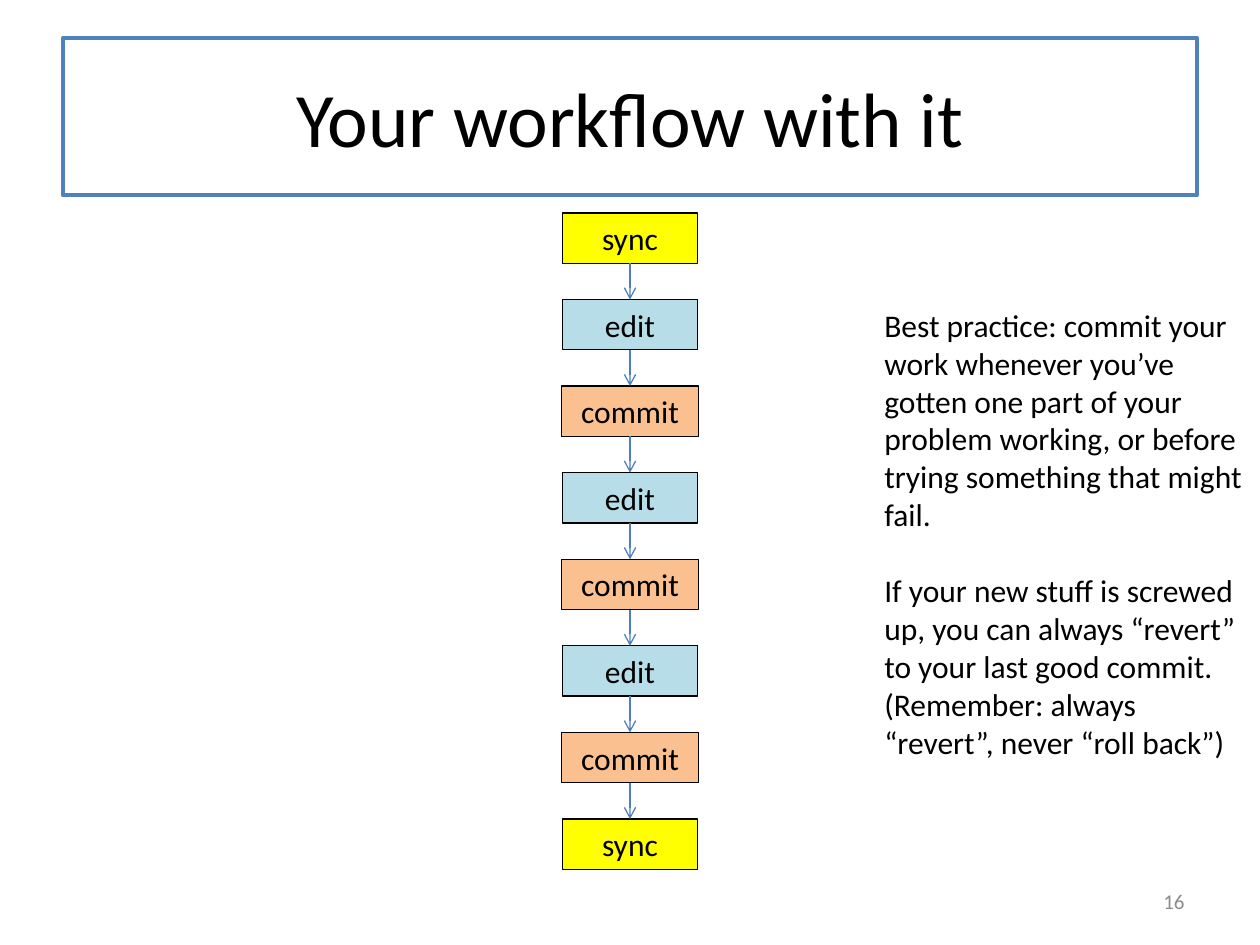
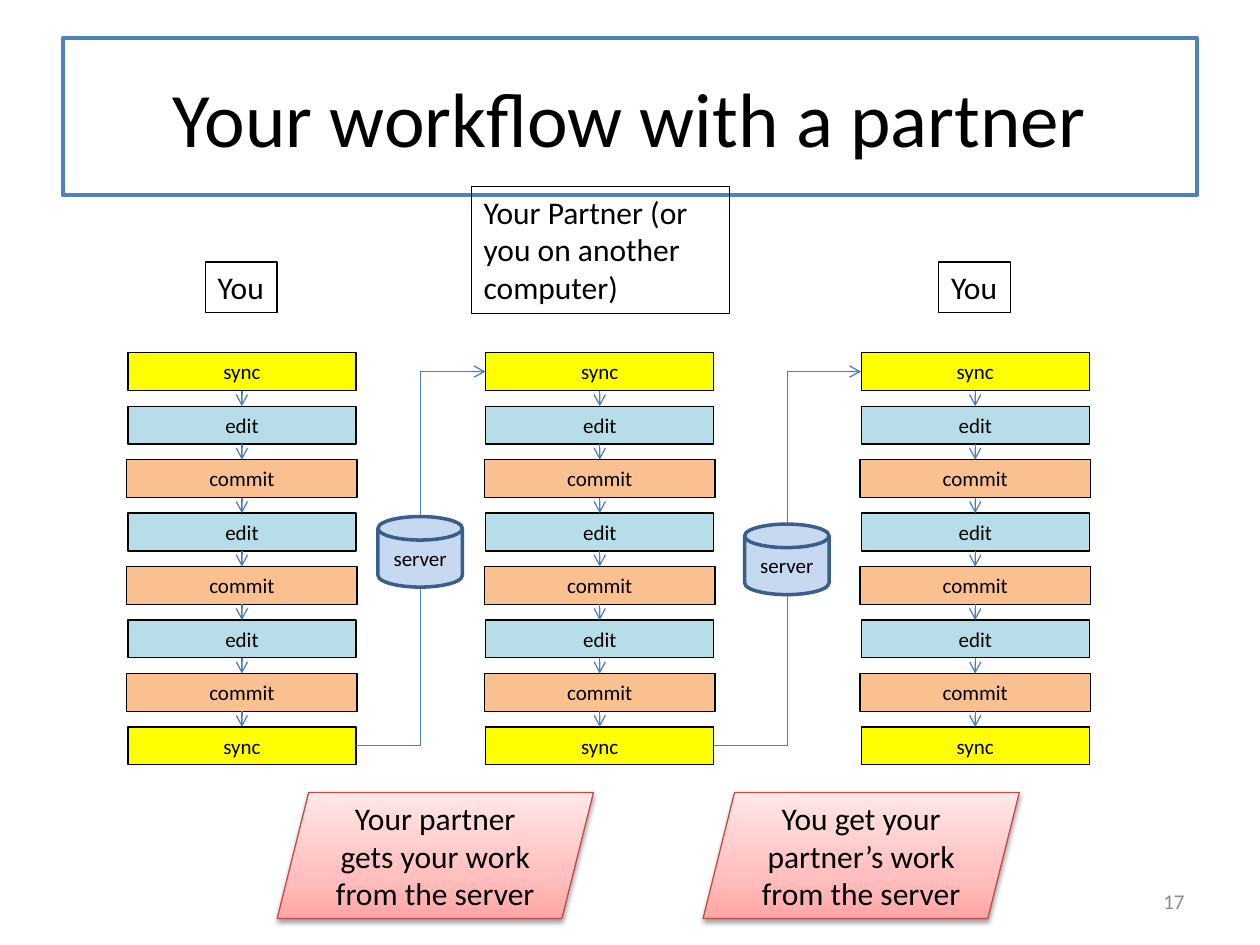
from pptx import Presentation
from pptx.dml.color import RGBColor
from pptx.enum.shapes import MSO_CONNECTOR, MSO_SHAPE
from pptx.enum.text import MSO_ANCHOR, MSO_AUTO_SIZE, PP_ALIGN
from pptx.oxml import parse_xml
from pptx.oxml.ns import nsdecls, qn
from pptx.util import Inches, Pt
from lxml.etree import SubElement

FONT = "Calibri"
BLACK = "000000"
FRAME = "4F81BD"
ARROW = "4B7EBC"
GRAY = "8C8C8C"
DISK = ("C6D9F1", "3A5F8C")
ROSE = "BF4C48"
BLEND = ((0, "FFA6A5"), (35, "FFC0BF"), (100, "FFE7E7"))
COLORS = {"sync": "FFFF00", "edit": "B7DEE8", "commit": "FAC090"}
STEPS = ["sync"] + ["edit", "commit"] * 3 + ["sync"]
TOP, LEFT, BOTTOM, RIGHT = range(4)


def color(code):
    return RGBColor.from_string(code)


def outline(item, code, width=0.75):
    item.line.color.rgb = color(code)
    item.line.width = Pt(width)


def write(shape, lines, size, align=PP_ALIGN.CENTER, ink=BLACK,
          anchor=MSO_ANCHOR.MIDDLE, wrap=True, grow=False):
    frame = shape.text_frame
    frame.text = "\n".join(lines)
    frame.word_wrap = wrap
    frame.vertical_anchor = anchor
    if grow:
        frame.auto_size = MSO_AUTO_SIZE.SHAPE_TO_FIT_TEXT
    for para in frame.paragraphs:
        para.alignment = align
        para.font.name = FONT
        para.font.size = Pt(size)
        para.font.color.rgb = color(ink)
    return frame


def add_slide(deck, title, number):
    slide = deck.slides.add_slide(deck.slide_layouts[5])
    head = slide.shapes.title
    head.left, head.top = Inches(0.5), Inches(0.3)
    head.width, head.height = Inches(9), Inches(1.25)
    outline(head, FRAME, 2.25)
    write(head, [title], 44)
    foot = slide.shapes.add_textbox(
        Inches(7.17), Inches(6.95), Inches(2.33), Inches(0.4))
    write(foot, [str(number)], 12, PP_ALIGN.RIGHT, GRAY)
    return slide.shapes


def add_box(shapes, kind, left, top, width, height, fill, edge, weight=0.75):
    box = shapes.add_shape(
        kind, Inches(left), Inches(top), Inches(width), Inches(height))
    box.shadow.inherit = False
    if fill:
        box.fill.solid()
        box.fill.fore_color.rgb = color(fill)
    else:
        box.fill.background()
    outline(box, edge, weight)
    return box


def add_link(shapes, kind, start, out, end, into):
    link = shapes.add_connector(kind, 0, 0, 0, 0)
    link.begin_connect(start, out)
    link.end_connect(end, into)
    outline(link, ARROW)
    SubElement(link.line._get_or_add_ln(), qn("a:tailEnd"), type="arrow")
    SubElement(link._element.spPr, qn("a:effectLst"))


def add_flow(shapes, center, top, pitch, width, height, size):
    group = shapes.add_group_shape().shapes
    boxes = []
    for row, step in enumerate(STEPS):
        wide = width + (0.02 if step == "commit" else 0)
        box = add_box(group, MSO_SHAPE.RECTANGLE, center - wide / 2,
                      top + row * pitch, wide, height, COLORS[step], BLACK)
        write(box, [step], size, anchor=MSO_ANCHOR.TOP, grow=True)
        boxes.append(box)
    for start, end in zip(boxes, boxes[1:]):
        add_link(group, MSO_CONNECTOR.STRAIGHT, start, BOTTOM, end, TOP)
    return boxes


def add_label(shapes, text, left, top, width, height, wrap):
    box = add_box(shapes, MSO_SHAPE.RECTANGLE, left, top, width, height,
                  None, BLACK)
    write(box, [text], 18, PP_ALIGN.LEFT, anchor=MSO_ANCHOR.TOP,
          wrap=wrap, grow=True)


def add_server(shapes, left, top):
    disk = add_box(shapes, MSO_SHAPE.FLOWCHART_MAGNETIC_DISK, left, top,
                   0.67, 0.56, *DISK, 2)
    write(disk, ["server"], 12)


def add_banner(shapes, text, left):
    box = add_box(shapes, MSO_SHAPE.PARALLELOGRAM, left, 6.29, 2.51, 1,
                  None, ROSE)
    stops = "".join(
        f'<a:gs pos="{pos * 1000}"><a:srgbClr val="{code}"/></a:gs>'
        for pos, code in BLEND)
    props = box._element.spPr
    props.replace(props.find(qn("a:noFill")), parse_xml(
        f'<a:gradFill {nsdecls("a")}><a:gsLst>{stops}</a:gsLst>'
        '<a:lin ang="16200000" scaled="0"/></a:gradFill>'))
    props.find(qn("a:effectLst")).append(parse_xml(
        f'<a:outerShdw {nsdecls("a")} blurRad="{Pt(3.1)}" dist="{Pt(1.6)}" '
        'dir="5400000" rotWithShape="0"><a:srgbClr val="000000">'
        '<a:alpha val="38000"/></a:srgbClr></a:outerShdw>'))
    write(box, [text], 18)


def solo(deck):
    shapes = add_slide(deck, "Your workflow with it", 16)
    add_flow(shapes, 5, 1.69, 4.81 / 7, 1.07, 0.4, 18)
    note = shapes.add_textbox(
        Inches(6.92), Inches(2.38), Inches(3.08), Inches(3.74))
    frame = write(note, [
        "Best practice: commit your work whenever you’ve gotten one part of "
        "your problem working, or before trying something that might fail.",
        "If your new stuff is screwed up, you can always “revert” to your "
        "last good commit.",
        "(Remember: always “revert”, never “roll back”)",
    ], 18, PP_ALIGN.LEFT, anchor=MSO_ANCHOR.TOP, grow=True)
    frame.paragraphs[1].space_before = Pt(22)


def team(deck):
    shapes = add_slide(deck, "Your workflow with a partner", 17)
    flows = [add_flow(shapes, center, 2.8, 2.97 / 7, 1.81, 0.3, 12)
             for center in (1.92, 4.76, 7.74)]
    for left in (1.63, 7.45):
        add_label(shapes, "You", left, 2.08, 0.57, 0.4, False)
    add_label(shapes, "Your Partner (or you on another computer)",
              3.74, 1.48, 2.05, 1.01, True)
    for start, end in zip(flows, flows[1:]):
        add_link(shapes, MSO_CONNECTOR.ELBOW, start[-1], RIGHT, end[0], LEFT)
    add_banner(shapes, "Your partner gets your work from the server", 2.2)
    add_banner(shapes, "You get your partner’s work from the server", 5.58)
    add_server(shapes, 3, 4.1)
    add_server(shapes, 5.91, 4.16)


def main():
    deck = Presentation()
    deck.slide_width, deck.slide_height = Inches(10), Inches(7.5)
    solo(deck)
    team(deck)
    deck.save("out.pptx")


main()
